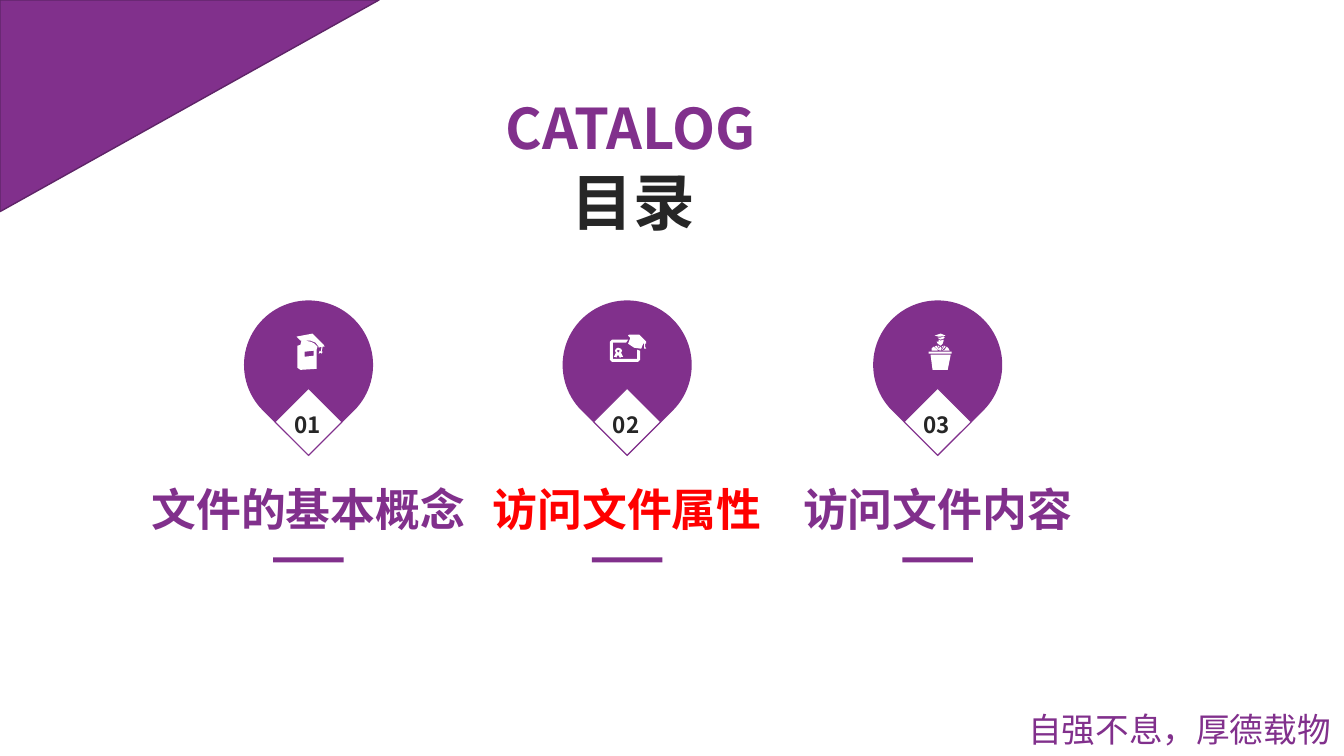
from dataclasses import dataclass

from lxml import etree
from pptx import Presentation
from pptx import util as u
from pptx.dml.color import RGBColor
from pptx.enum import shapes, text
from pptx.oxml import ns


@dataclass(frozen=True)
class Theme:
    font: str = "Noto Sans CJK SC"
    purple: str = "81308C"
    edge: str = "5F2468"
    dark: str = "262626"
    white: str = "FFFFFF"
    red: str = "FF0000"
    title: int = 44
    subtitle: int = 40
    label: int = 32
    motto: int = 24
    number: int = 16


th = Theme()
W, H = u.Inches(13.33), u.Inches(7.5)

# Icon outlines in hundredths of an inch from the pin's centre line and the icon row
BOOK = [
    [(-7, 11), (-4, 12), (1, 13), (6, 15), (8, 16), (8, 35), (-8, 36), (-11, 34), (-11, 12)],
    [(5, 17), (-4, 18), (-4, 23), (5, 22)],
    [(-4, 7), (2, 8), (6, 10), (9, 13), (8, 16), (1, 13), (-8, 11), (-7, 7)],
    [(4, 0), (13, 9), (15, 11), (16, 13), (14, 13), (13, 18), (14, 18), (13, 20), (12, 19),
     (10, 20), (11, 17), (12, 18), (13, 13), (10, 14), (10, 13), (7, 9), (2, 7), (-8, 7), (-12, 3)],
]
DIPLOMA = [
    [(-9, 14), (-6, 15), (-5, 17), (-6, 19), (-4, 23), (-6, 23), (-7, 24), (-9, 21),
     (-11, 24), (-11, 23), (-13, 23), (-11, 19), (-12, 17), (-11, 15)],
    [(-9, 16), (-10, 17), (-9, 19), (-7, 17)],
    [(-15, 6), (1, 6), (-1, 9), (-14, 9), (-14, 25), (10, 25), (10, 16), (13, 17),
     (13, 26), (11, 28), (-15, 28), (-17, 26), (-17, 8)],
    [(2, 1), (12, 1), (13, 2), (19, 8), (19, 10), (18, 10), (18, 13), (19, 15), (17, 15),
     (17, 10), (16, 10), (14, 15), (7, 14), (1, 10), (3, 5), (3, 4), (1, 2)],
]
SPEAKER = [
    [(-7, 21), (13, 21), (10, 36), (-5, 36)],
    [(-9, 18), (14, 18), (14, 20), (-9, 20)],
    [(9, 13), (11, 15), (12, 17), (5, 17), (7, 16)],
    [(-4, 13), (0, 16), (0, 17), (-6, 17), (-6, 15)],
    [(7, 12), (8, 13), (4, 17), (5, 15)],
    [(-1, 12), (2, 17), (-3, 13)],
    [(3, 13), (4, 15), (3, 17), (1, 15)],
    [(6, 12), (5, 14), (4, 13)],
    [(0, 12), (1, 12), (2, 13), (1, 14)],
    [(6, 6), (6, 7), (5, 10), (3, 12), (0, 10), (-1, 8), (1, 8), (1, 6), (3, 7)],
    [(6, 3), (7, 4), (6, 5), (3, 6), (1, 5), (0, 4), (3, 4)],
    [(3, 0), (8, 2), (3, 3), (1, 3), (-3, 2)],
]


def paint(sp, fill, line=None, width=0.75):
    sp.shadow.inherit = False
    sp.fill.solid()
    sp.fill.fore_color.rgb = RGBColor.from_string(fill)
    if line:
        sp.line.color.rgb = RGBColor.from_string(line)
        sp.line.width = u.Pt(width)
    else:
        sp.line.fill.background()


def write(sp, words, size, color, bold=True, align=text.PP_ALIGN.LEFT):
    tf = sp.text_frame
    tf.text = words
    tf.word_wrap = False
    tf.auto_size = text.MSO_AUTO_SIZE.NONE
    tf.vertical_anchor = text.MSO_ANCHOR.TOP
    p = tf.paragraphs[0]
    p.alignment = align
    r = p.runs[0]
    r.font.size, r.font.bold, r.font.name = u.Pt(size), bold, th.font
    r.font.color.rgb = RGBColor.from_string(color)
    etree.SubElement(r.font._element, ns.qn("a:ea"), typeface=th.font)


prs = Presentation()
prs.slide_width, prs.slide_height = W, H
s = prs.slides.add_slide(prs.slide_layouts[5])

# Corner triangle: turned by 90 degrees about its centre to fill the top left
corner_w, corner_h = u.Inches(3.76), u.Inches(2.1)
sp = s.shapes.add_shape(shapes.MSO_SHAPE.RIGHT_TRIANGLE, (corner_w - corner_h) // 2,
                        (corner_h - corner_w) // 2, corner_h, corner_w)
sp.rotation = 90
paint(sp, th.purple, th.edge, 1)

# Headings and motto
title = s.shapes.title
title.left, title.top = u.Inches(5.57), u.Inches(1.58)
title.width, title.height = u.Inches(1.44), u.Inches(0.84)
write(title, "目录", th.title, th.dark)
sp = s.shapes.add_textbox(u.Inches(4.92), u.Inches(0.88), u.Inches(2.87), u.Inches(0.77))
write(sp, "CATALOG", th.subtitle, th.purple)
sp = s.shapes.add_textbox(u.Inches(10.1), u.Inches(6.98), u.Inches(3.24), u.Inches(0.5))
write(sp, "自强不息，厚德载物", th.motto, th.purple, bold=False)

# One column per chapter: centre, label, label width, label colour, icon
chapters = [
    (3.06, "文件的基本概念", 3.34, th.purple, BOOK),
    (6.22, "访问文件属性", 2.89, th.red, DIPLOMA),
    (9.3, "访问文件内容", 2.89, th.purple, SPEAKER),
]
drop, diamond = u.Inches(1.28), u.Inches(0.47)
number_w, rule_w = u.Inches(0.48), u.Inches(0.7)
for number, (centre, label, label_w, color, icon) in enumerate(chapters, 1):
    cx = u.Inches(centre)
    pin = s.shapes.add_group_shape().shapes

    sp = pin.add_shape(shapes.MSO_SHAPE.TEAR, cx - drop // 2, u.Inches(2.98), drop, drop)
    sp.rotation = 135
    paint(sp, th.purple)

    sp = pin.add_shape(shapes.MSO_SHAPE.RECTANGLE, cx - diamond // 2, u.Inches(3.95),
                       diamond, diamond)
    sp.rotation = 45
    paint(sp, th.white, th.purple)

    fb = pin.build_freeform(*icon[0][0], scale=u.Inches(0.01))
    for i, outline in enumerate(icon):
        if i:
            fb.move_to(*outline[0])
        fb.add_line_segments(outline[1:], close=True)
    paint(fb.convert_to_shape(cx, u.Inches(3.31)), th.white)

    sp = pin.add_textbox(cx - number_w // 2, u.Inches(4.03), number_w, u.Inches(0.37))
    write(sp, f"{number:02d}", th.number, th.dark)

    width = u.Inches(label_w)
    sp = s.shapes.add_textbox(cx - width // 2, u.Inches(4.73), width, u.Inches(0.64))
    write(sp, label, th.label, color, align=text.PP_ALIGN.CENTER)

    sp = s.shapes.add_shape(shapes.MSO_SHAPE.RECTANGLE, cx - rule_w // 2, u.Inches(5.53),
                            rule_w, u.Inches(0.05))
    paint(sp, th.purple)

prs.save("out.pptx")
